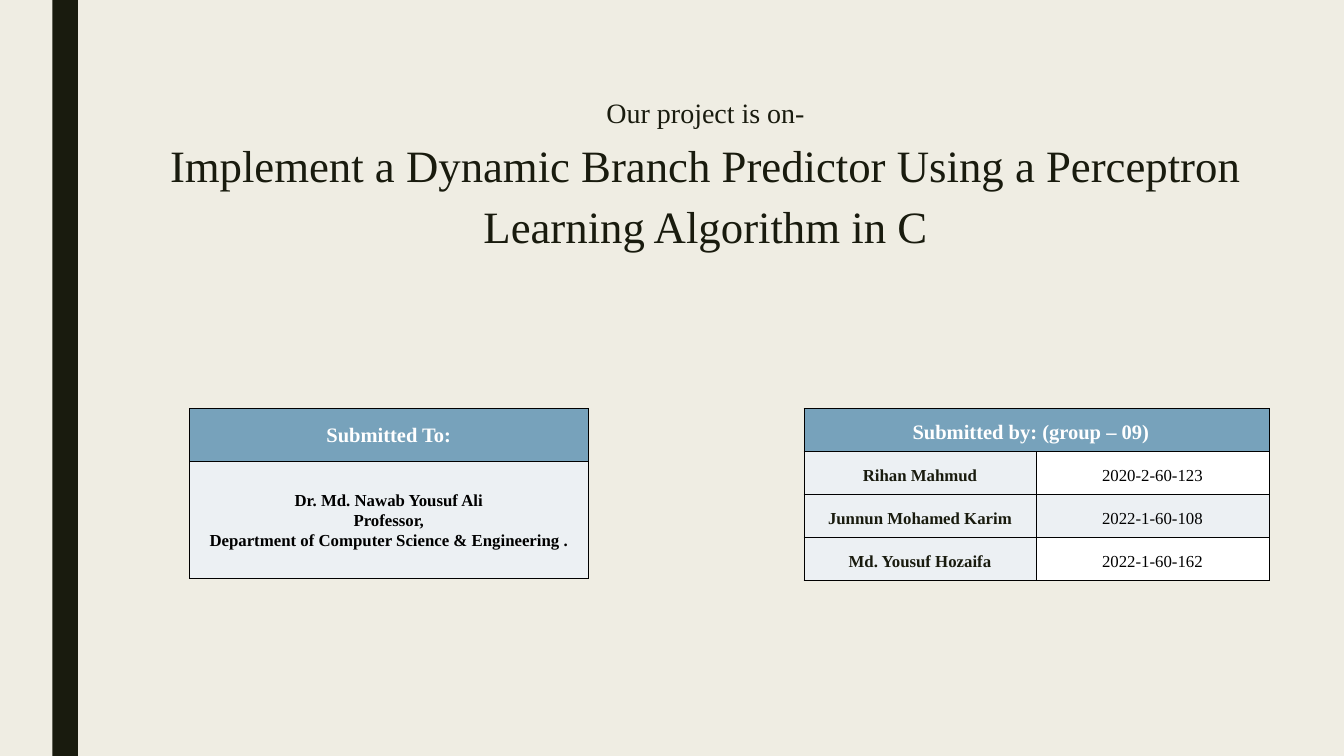
from dataclasses import dataclass

from lxml import etree
from pptx import Presentation
from pptx.dml.color import RGBColor
from pptx.enum.shapes import MSO_SHAPE
from pptx.enum.text import MSO_ANCHOR, MSO_AUTO_SIZE, PP_ALIGN
from pptx.oxml.ns import qn
from pptx.util import Inches, Pt


@dataclass(frozen=True)
class Theme:
    font: str = "Times New Roman"
    background: str = "EFEDE3"
    dark: str = "191B0E"
    black: str = "000000"
    white: str = "FFFFFF"
    header: str = "77A2BB"
    band: str = "ECF0F3"
    intro_size: int = 30
    title_size: int = 48
    header_size: int = 22
    body_size: int = 18
    border: float = 0.37


THEME = Theme()


def paint(fill, color):
    fill.solid()
    fill.fore_color.rgb = RGBColor.from_string(color)


def format_paragraph(paragraph, size, color, spacing, bold=False):
    paragraph.alignment = PP_ALIGN.CENTER
    paragraph.line_spacing = Pt(spacing)
    paragraph.space_before = paragraph.space_after = Pt(0)
    for run in paragraph.runs:
        run.font.name = THEME.font
        run.font.size = Pt(size)
        run.font.bold = bold
        run.font.color.rgb = RGBColor.from_string(color)


def add_borders(cell):
    properties = cell._tc.get_or_add_tcPr()
    for index, side in enumerate(("lnL", "lnR", "lnT", "lnB")):
        line = etree.Element(qn(f"a:{side}"), w=str(int(Pt(THEME.border))))
        fill = etree.SubElement(line, qn("a:solidFill"))
        etree.SubElement(fill, qn("a:srgbClr"), val=THEME.black)
        properties.insert(index, line)


def format_cell(cell, text, fill, size, color, spacing, inset, bold=True):
    cell.text_frame.text = text
    cell.vertical_anchor = MSO_ANCHOR.MIDDLE
    cell.margin_left = cell.margin_right = Inches(inset)
    cell.margin_top = cell.margin_bottom = Inches(inset)
    paint(cell.fill, fill)
    for paragraph in cell.text_frame.paragraphs:
        format_paragraph(paragraph, size, color, spacing, bold)


def add_grid(slide, left, top, width, row_heights, columns):
    """Add a bordered table without style banding."""
    frame = slide.shapes.add_table(
        len(row_heights), columns, Inches(left), Inches(top),
        Inches(width), Inches(sum(row_heights)))
    table = frame.table
    table.first_row = table.horz_banding = False
    for column in table.columns:
        column.width = Inches(width / columns)
    for row, height in zip(table.rows, row_heights):
        row.height = Inches(height)
    for cell in table.iter_cells():
        add_borders(cell)
    return table


def add_side_bar(slide, left, top, width, height):
    bar = slide.shapes.add_shape(
        MSO_SHAPE.RECTANGLE, Inches(left), Inches(top), Inches(width), Inches(height))
    bar.shadow.inherit = False
    paint(bar.fill, THEME.dark)
    bar.line.fill.background()


def place_title(slide, left, top, width, height):
    title = slide.shapes.title
    title.left, title.top = Inches(left), Inches(top)
    title.width, title.height = Inches(width), Inches(height)
    frame = title.text_frame
    frame.text = ("Our project is on-\n"
                  "Implement a Dynamic Branch Predictor Using a Perceptron "
                  "Learning Algorithm in C")
    frame.word_wrap = True
    frame.auto_size = MSO_AUTO_SIZE.NONE
    frame.vertical_anchor = MSO_ANCHOR.TOP
    frame.margin_left = frame.margin_right = 0
    frame.margin_top = frame.margin_bottom = 0
    intro, topic = frame.paragraphs
    format_paragraph(intro, THEME.intro_size, THEME.dark, 41.4)
    format_paragraph(topic, THEME.title_size, THEME.dark, 66.2)


def add_teacher_table(slide, left, top, width):
    table = add_grid(slide, left, top, width, [0.78, 1.75], 1)
    format_cell(table.cell(0, 0), "Submitted To:", THEME.header,
                THEME.header_size, THEME.white, 26.4, 0.1)
    format_cell(table.cell(1, 0),
                "Dr. Md. Nawab Yousuf Ali\nProfessor,\n"
                "Department of Computer Science & Engineering .",
                THEME.band, THEME.body_size, THEME.black, 21.6, 0.1)


def add_group_table(slide, left, top, width):
    students = [
        ("Rihan Mahmud", "2020-2-60-123"),
        ("Junnun Mohamed Karim", "2022-1-60-108"),
        ("Md. Yousuf Hozaifa", "2022-1-60-162"),
    ]
    table = add_grid(slide, left, top, width, [0.64] * (len(students) + 1), 2)
    heading = table.cell(0, 0)
    heading.merge(table.cell(0, 1))
    format_cell(heading, "Submitted by: (group – 09)", THEME.header,
                THEME.header_size, THEME.white, 30.4, 0.07)
    heading.margin_right = Inches(0.23)
    for row, (name, number) in enumerate(students, start=1):
        format_cell(table.cell(row, 0), name, THEME.band,
                    THEME.body_size, THEME.dark, 24.8, 0.07)
        number_fill = THEME.white if row % 2 else THEME.band
        format_cell(table.cell(row, 1), number, number_fill,
                    THEME.body_size, THEME.black, 24.8, 0.07, bold=False)


def main():
    presentation = Presentation()
    presentation.slide_width = Inches(20)
    presentation.slide_height = Inches(11.25)
    slide = presentation.slides.add_slide(presentation.slide_layouts[5])
    paint(slide.background.fill, THEME.background)
    add_side_bar(slide, 0.78, 0, 0.38, 11.25)
    add_group_table(slide, 11.96, 6.08, 6.92)
    add_teacher_table(slide, 2.82, 6.08, 5.93)
    place_title(slide, 1.56, 1.35, 17.88, 2.43)
    presentation.save("out.pptx")


if __name__ == "__main__":
    main()
